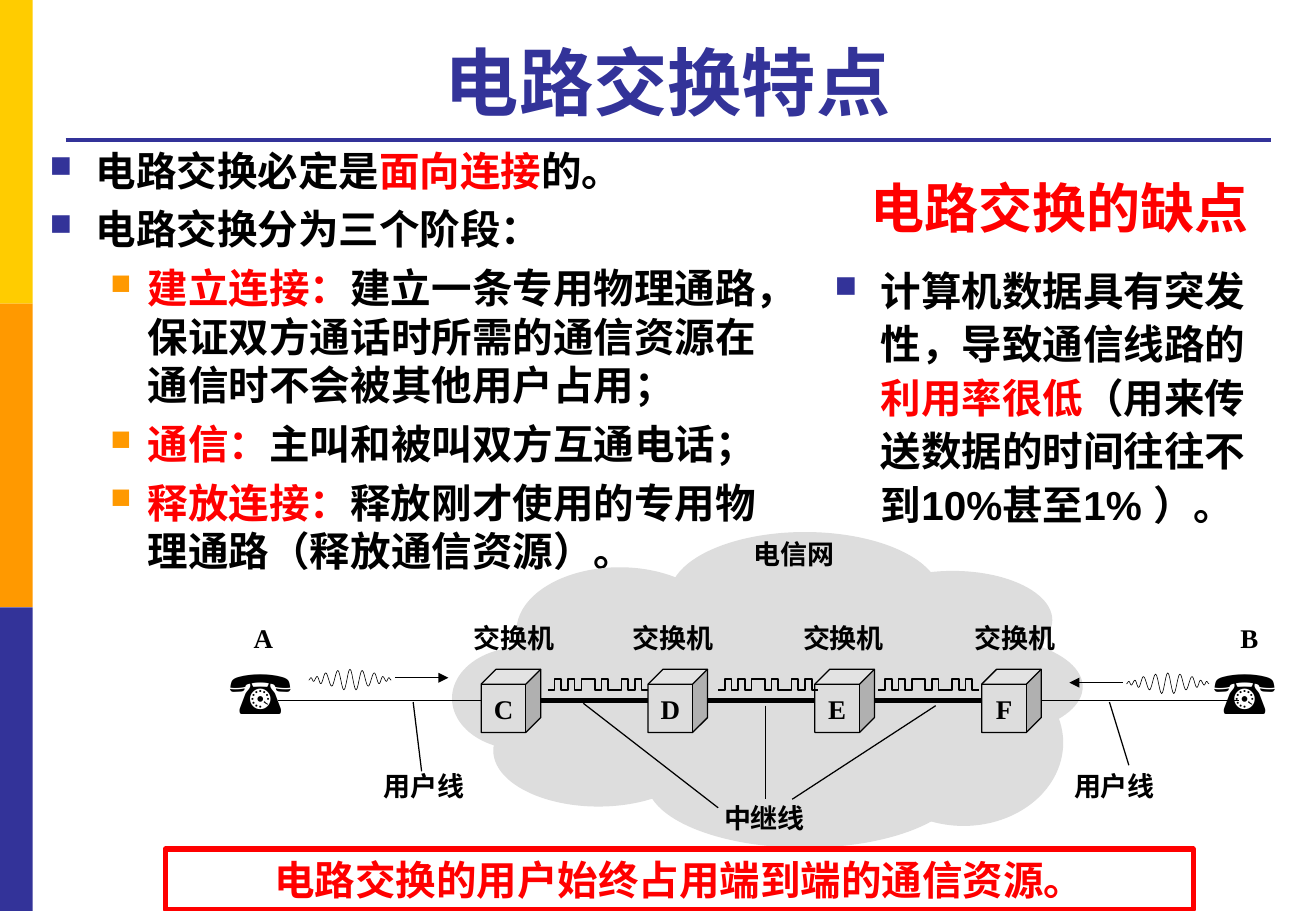
"""Build a slide on the traits of circuit switching."""
from math import cos, pi
from lxml import etree
from pptx import Presentation
from pptx import util as u
from pptx.dml.color import RGBColor
from pptx.enum import shapes, text
from pptx.oxml import ns

COLS, ROWS = 108.3, 75
CELL = u.Inches(0.1)
BLACK = RGBColor(0, 0, 0)
WHITE = RGBColor(255, 255, 255)
RED = RGBColor(255, 0, 0)
BLUE = RGBColor(0x33, 0x33, 0x99)
GOLD = RGBColor(0xFF, 0xCC, 0)
AMBER = RGBColor(0xFF, 0x99, 0)
GREY = RGBColor(0xDD, 0xDD, 0xDD)
SHAPE = shapes.MSO_SHAPE
MID = text.PP_ALIGN.CENTER
LOW = text.MSO_ANCHOR.BOTTOM

CLOUD = [(55.1, 43.8, 22.3, 10.5), (42.5, 46.7, 17, 10.5), (37.2, 53.3, 11.3, 8.4),
         (40.6, 57.2, 17.3, 9.2), (53.2, 58.8, 26.1, 11), (70.2, 47, 16.4, 8.1),
         (72.7, 52.5, 16.4, 8.1), (71.1, 54.3, 16.4, 13.7), (46.6, 50.1, 33.7, 13.7)]
PEAKS = [(0, -0.8), (0.5, 0.9), (1, -0.7), (1.5, 0.6), (2, -0.5), (2.4, 0.4),
         (2.7, -0.2), (3, 0.2), (3.2, -0.1), (3.4, 0.1)]
STEPS = [1, 1, 1, 1, 1, 2, 1, 1, 2, 1, 1, 1, 1]


def grid(*nums):
    """Turn grid counts into lengths."""
    return [u.Emu(round(n * CELL)) for n in nums]


def write(para, runs, size, font):
    """Add (words, colour) runs to a paragraph."""
    for words, ink in runs:
        run = para.add_run()
        run.text = words
        run.font.size, run.font.name, run.font.bold = u.Pt(size), font, True
        run.font.color.rgb = ink


def box(slide, area, runs, size, font="Arial", align=MID, anchor=LOW):
    """Add a wrapped text box with one paragraph."""
    frame = slide.shapes.add_textbox(*grid(*area)).text_frame
    frame.word_wrap, frame.vertical_anchor = True, anchor
    frame.paragraphs[0].alignment = align
    write(frame.paragraphs[0], runs, size, font)


def label(slide, x, y, words, wide=8.8):
    """Add a short diagram label on one line."""
    frame = slide.shapes.add_textbox(*grid(x, y, wide, 3.7)).text_frame
    frame.word_wrap = False
    frame.auto_size = text.MSO_AUTO_SIZE.SHAPE_TO_FIT_TEXT
    write(frame.paragraphs[0], [(words, BLACK)], 16, "Times New Roman")


def block(slide, kind, area, fill=None, edge=None, width=0.75):
    """Add a preset shape with optional fill and edge."""
    item = slide.shapes.add_shape(kind, *grid(*area))
    item.shadow.inherit = False
    if fill is None:
        item.fill.background()
    else:
        item.fill.solid()
        item.fill.fore_color.rgb = fill
    if edge is None:
        item.line.fill.background()
    else:
        item.line.color.rgb, item.line.width = edge, u.Pt(width)
    return item


def line(slide, ends, ink=BLACK, width=0.75, arrow=False):
    """Add a straight line, with an arrowhead if asked."""
    item = slide.shapes.add_connector(shapes.MSO_CONNECTOR.STRAIGHT, *grid(*ends))
    item.line.color.rgb, item.line.width = ink, u.Pt(width)
    if arrow:
        etree.SubElement(item.line._get_or_add_ln(), ns.qn("a:tailEnd"), type="triangle")
    etree.SubElement(item._element.spPr, ns.qn("a:effectLst"))


def trace(slide, points, width):
    """Draw an open outline through grid points."""
    spots = [grid(*p) for p in points]
    pen = slide.shapes.build_freeform(*spots[0])
    pen.add_line_segments(spots[1:], close=False)
    item = pen.convert_to_shape()
    item.shadow.inherit = False
    item.fill.background()
    item.line.color.rgb, item.line.width = BLACK, u.Pt(width)


def wave(slide, x, y):
    """Draw a voice signal that fades to both sides."""
    half = []
    for (x1, y1), (x2, y2) in zip(PEAKS, PEAKS[1:]):
        for k in range(6):
            half.append((x1 + (x2 - x1) * k / 6,
                         (y1 + y2) / 2 + (y1 - y2) / 2 * cos(pi * k / 6)))
    half.append(PEAKS[-1])
    left = [(x - dx, y + dy) for dx, dy in half[:0:-1]]
    trace(slide, left + [(x + dx, y + dy) for dx, dy in half], 0.38)


def pulse(slide, x, low=56.8, high=55.9):
    """Draw a square digital signal."""
    points = []
    for k, step in enumerate(STEPS):
        y = high if k % 2 else low
        points += [(x, y), (x + step * 0.55, y)]
        x += step * 0.55
    trace(slide, points, 1)


def bullets(slide, area, items, lead=None):
    """Add a list of (level, runs) with square bullets."""
    frame = slide.shapes.add_textbox(*grid(*area)).text_frame
    frame.word_wrap = True
    for k, (level, runs) in enumerate(items):
        para = frame.add_paragraph() if k else frame.paragraphs[0]
        para.level, para.space_before = level, u.Pt(6)
        if lead:
            para.line_spacing = lead
        left, hang, ink, size = [(3.8, 3.8, BLUE, 75), (8.1, 3.1, AMBER, 70)][level]
        props = para._p.get_or_add_pPr()
        props.set("marL", str(grid(left)[0]))
        props.set("indent", str(-grid(hang)[0]))
        tint = etree.SubElement(props, ns.qn("a:buClr"))
        etree.SubElement(tint, ns.qn("a:srgbClr"), val=str(ink))
        etree.SubElement(props, ns.qn("a:buSzPct"), val=str(size * 1000))
        etree.SubElement(props, ns.qn("a:buChar"), char="■")
        write(para, runs, 24, "Arial")


def network(slide):
    """Draw the telephone network with its switches and lines."""
    for area in CLOUD:
        block(slide, SHAPE.OVAL, area, GREY)
    line(slide, (42.1, 57.7, 82.5, 57.7), width=3)
    for x in (17.9, 98.9):
        box(slide, (x, 53.3, 8, 7.1), [("☎", BLACK)], 36, "Times New Roman",
            text.PP_ALIGN.LEFT, text.MSO_ANCHOR.TOP)
    label(slide, 19.9, 50.7, "A", 3.6)
    label(slide, 101.1, 50.7, "B", 3.5)
    for x1, x2 in ((22.9, 40.4), (83.3, 102)):
        line(slide, (x1, 57.7, x2, 57.7))
    for k, (name, x) in enumerate(zip("CDEF", (38, 51.1, 65.1, 79.2))):
        cube = block(slide, SHAPE.CUBE, (39.6 + k * 13.73, 55.1, 4.9, 5.2), GREY, BLACK)
        frame = cube.text_frame
        frame.word_wrap, frame.vertical_anchor = False, text.MSO_ANCHOR.MIDDLE
        frame.paragraphs[0].alignment = MID
        write(frame.paragraphs[0], [(name, BLACK)], 16, "Times New Roman")
        label(slide, x, 50.7, "交换机")
    for x, y, words in ((61, 43.8, "电信网"), (58.6, 65.5, "中继线"),
                        (30.6, 62.9, "用户线"), (87.4, 62.9, "用户线")):
        label(slide, x, y, words)
    for ends in ((48, 57.9, 59.1, 66.5), (63, 58.1, 63, 65.8), (77, 58.1, 65.2, 65.8),
                 (34, 57.8, 34.7, 63.5), (91.3, 57.8, 92.9, 63)):
        line(slide, ends)
    wave(slide, 96.1, 56.2)
    line(slide, (92.4, 56.2, 88, 56.2), arrow=True)
    wave(slide, 28.8, 55.9)
    line(slide, (32.5, 55.8, 36.9, 55.8), arrow=True)
    for x in (45.1, 59.1, 72.3):
        pulse(slide, x)


def main():
    """Build and save the slide."""
    deck = Presentation()
    deck.slide_width, deck.slide_height = grid(COLS, ROWS)
    slide = deck.slides.add_slide(deck.slide_layouts[6])
    slide.background.fill.solid()
    slide.background.fill.fore_color.rgb = WHITE
    for k, ink in enumerate((GOLD, AMBER, BLUE)):
        block(slide, SHAPE.RECTANGLE, (0, k * ROWS / 3, 2.7, ROWS / 3), ink)
    line(slide, (5.4, 11.5, 104.6, 11.5), BLUE, 2.25)
    box(slide, (5.4, 2.1, 99.1, 8.7), [("电路交换特点", BLUE)], 44)
    bullets(slide, (3.1, 11.5, 63.3, 36.2), [
        (0, [("电路交换必定是", BLACK), ("面向连接", RED), ("的。", BLACK)]),
        (0, [("电路交换分为三个阶段：", BLACK)]),
        (1, [("建立连接：", RED),
             ("建立一条专用物理通路，保证双方通话时所需的通信资源在通信时不会被其他用户占用；", BLACK)]),
        (1, [("通信：", RED), ("主叫和被叫双方互通电话；", BLACK)]),
        (1, [("释放连接：", RED), ("释放刚才使用的专用物理通路（释放通信资源）。", BLACK)])])
    network(slide)
    note = block(slide, SHAPE.RECTANGLE, (13.6, 69.9, 84.6, 5), edge=RED, width=3)
    note.text_frame.word_wrap = True
    note.text_frame.vertical_anchor = text.MSO_ANCHOR.TOP
    note.text_frame.paragraphs[0].alignment = MID
    write(note.text_frame.paragraphs[0],
          [("电路交换的用户始终占用端到端的通信资源。", RED)], 24, "Arial")
    bullets(slide, (67.7, 21, 36.8, 24.7), [
        (0, [("计算机数据具有突发性，导致通信线路的", BLACK), ("利用率很低", RED),
             ("（用来传送数据的时间往往不到10%甚至1% ）。", BLACK)])], 1.1)
    box(slide, (68.3, 11.5, 37.8, 8.7), [("电路交换的缺点", RED)], 32)
    deck.save("out.pptx")


if __name__ == "__main__":
    main()
